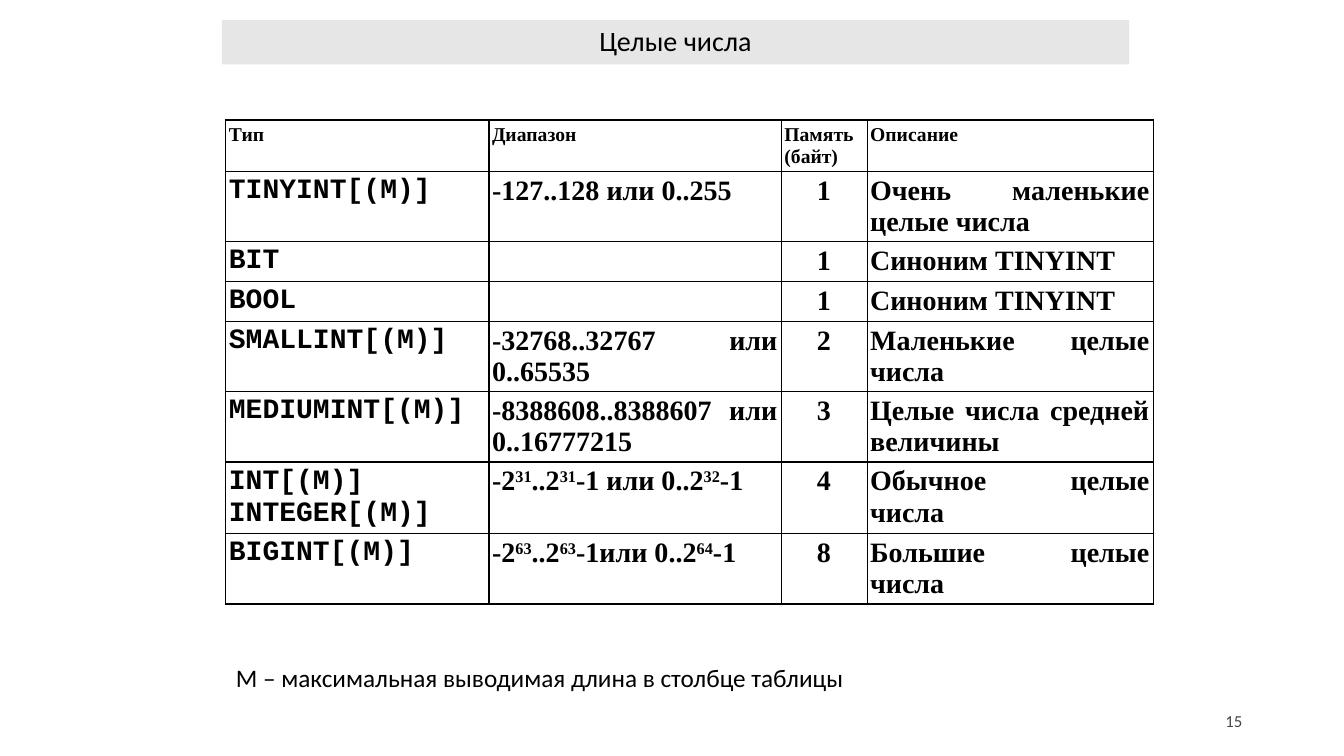
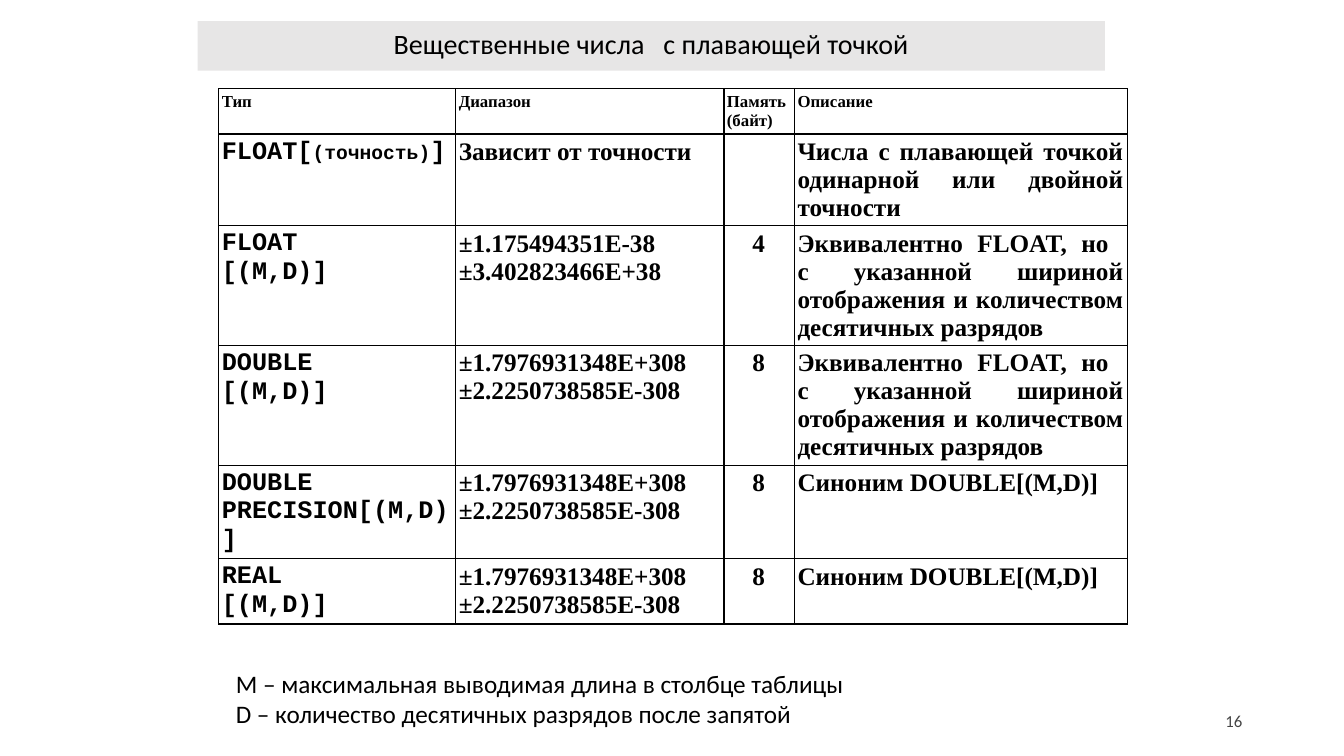
import pptx
import pptx.util
import pptx.dml.color
import pptx.enum.text
import pptx.oxml
import pptx.oxml.ns
from lxml import etree

Inches, Pt = pptx.util.Inches, pptx.util.Pt
RGB = pptx.dml.color.RGBColor.from_string
ALIGN = pptx.enum.text.PP_ALIGN
MIDDLE = pptx.enum.text.MSO_ANCHOR.MIDDLE


class Theme:
    ink, band, gray = "000000", "E7E6E6", "454545"
    sans, serif, mono = "Calibri", "Times New Roman", "Courier New"
    title, note, number, small = 20, 18, 12, 14
    rule = 1


# Content: "\n" parts paragraphs, "\v" breaks a line,
# ^...^ is superscript and ~...~ is small text
HEAD = ("Тип", "Диапазон", "Память\n(байт)", "Описание")
WIDE = "±1.7976931348Е+308\n±2.2250738585Е-308"
SAME = ("Эквивалентно FLOAT, но \vс указанной шириной отображения "
        "и количеством десятичных разрядов")
NOTE = "M – максимальная выводимая длина в столбце таблицы"
FIRST = 15

SLIDES = [
    {
        "title": "Целые числа",
        "band": (2.2, 0.2, 9, 0.44),
        "origin": (2.24, 1.19),
        "cols": (2.61, 2.9, 0.85, 2.84),
        "heights": (0.51, 0.69, 0.39, 0.39, 0.69, 0.7, 0.7, 0.7),
        "sizes": (14, 20),
        "rows": [
            ("TINYINT[(M)]", "-127..128 или 0..255", "1",
             "Очень маленькие целые числа"),
            ("BIT", "", "1", "Синоним TINYINT"),
            ("BOOL", "", "1", "Синоним TINYINT"),
            ("SMALLINT[(M)]", "-32768..32767 или 0..65535", "2",
             "Маленькие целые числа"),
            ("MEDIUMINT[(M)]", "-8388608..8388607 или 0..16777215", "3",
             "Целые числа средней величины"),
            ("INT[(M)]\nINTEGER[(M)]", "-2^31^..2^31^-1 или 0..2^32^-1", "4",
             "Обычное целые числа"),
            ("BIGINT[(M)]", "-2^63^..2^63^-1или 0..2^64^-1", "8",
             "Большие целые числа"),
        ],
        "note": NOTE,
        "place": (2.24, 6.52, 7.42, 0.4),
    },
    {
        "title": "Вещественные числа   с плавающей точкой",
        "band": (1.96, 0.21, 9, 0.49),
        "origin": (2.17, 0.88),
        "cols": (2.35, 2.66, 0.7, 3.3),
        "heights": (0.44, 0.91, 1.18, 1.18, 0.91, 0.63),
        "sizes": (12, 18),
        "rows": [
            ("FLOAT[~(точность)~]", "Зависит от точности", "",
             "Числа с плавающей точкой одинарной или двойной точности"),
            ("FLOAT\n[(M,D)]", "±1.175494351Е-38\n±3.402823466Е+38", "4", SAME),
            ("DOUBLE\n[(M,D)]", WIDE, "8", SAME),
            ("DOUBLE\nPRECISION[(M,D)]", WIDE, "8", "Синоним DOUBLE[(M,D)]"),
            ("REAL\n[(M,D)]", WIDE, "8", "Синоним DOUBLE[(M,D)]"),
        ],
        "note": NOTE + "\nD – количество десятичных разрядов после запятой",
        "place": (2.24, 6.58, 7.42, 0.71),
    },
]


# Text
def add_runs(para, text):
    mark = "^" if "^" in text else "~"
    for i, part in enumerate(text.split(mark)):
        for j, line in enumerate(part.split("\v")):
            if j:
                para.add_line_break()
            run = para.add_run()
            run.text = line
            if i % 2 and mark == "^":
                run._r.get_or_add_rPr().set("baseline", "30000")
            elif i % 2:
                run.font.size = Pt(Theme.small)


def write(frame, text, size, face=Theme.sans, color=Theme.ink,
          align=ALIGN.LEFT, bold=False):
    frame.word_wrap = True
    for i, line in enumerate(text.split("\n")):
        para = frame.add_paragraph() if i else frame.paragraphs[0]
        para.alignment = align
        font = para.font
        font.size, font.name, font.bold = Pt(size), face, bold
        font.color.rgb = RGB(color)
        if line:
            add_runs(para, line)


def add_text(slide, box, text, size, **style):
    frame = slide.shapes.add_textbox(*map(Inches, box)).text_frame
    write(frame, text, size, **style)
    return frame


# Title band
def set_title(slide, text, box):
    band = slide.shapes.title
    band.left, band.top, band.width, band.height = map(Inches, box)
    band.fill.solid()
    band.fill.fore_color.rgb = RGB(Theme.band)
    frame = band.text_frame
    write(frame, text, Theme.title, align=ALIGN.CENTER)
    frame.vertical_anchor = MIDDLE
    frame.paragraphs[0].line_spacing = 0.9


# Table
def set_edges(cell):
    props = cell._tc.get_or_add_tcPr()
    qn = pptx.oxml.ns.qn
    for side in ("lnL", "lnR", "lnT", "lnB"):
        line = etree.SubElement(props, qn("a:" + side), w=str(Pt(Theme.rule)))
        fill = etree.SubElement(line, qn("a:solidFill"))
        etree.SubElement(fill, qn("a:srgbClr"), val=Theme.ink)


def fill_cell(cell, text, size, face, align):
    cell.margin_left = Inches(0.03)
    cell.margin_right = cell.margin_top = cell.margin_bottom = Inches(0.04)
    set_edges(cell)
    cell.fill.background()
    write(cell.text_frame, text, size, face, align=align, bold=True)


def add_grid(slide, data):
    rows = [HEAD] + data["rows"]
    cols, heights = data["cols"], data["heights"]
    box = (*data["origin"], sum(cols), sum(heights))
    grid = slide.shapes.add_table(len(rows), len(cols), *map(Inches, box)).table
    grid.first_row = grid.horz_banding = False
    for col, width in zip(grid.columns, cols):
        col.width = Inches(width)
    for row, height in zip(grid.rows, heights):
        row.height = Inches(height)

    small, large = data["sizes"]
    faces = (Theme.mono, Theme.serif, Theme.serif, Theme.serif)
    aligns = (ALIGN.LEFT, ALIGN.JUSTIFY, ALIGN.CENTER, ALIGN.JUSTIFY)
    for r, row in enumerate(rows):
        for c, text in enumerate(row):
            if r:
                style = (large, faces[c], aligns[c])
            else:
                style = (small, Theme.serif, ALIGN.JUSTIFY)
            fill_cell(grid.cell(r, c), text, *style)


# Slides
def main():
    deck = pptx.Presentation()
    deck.slide_width, deck.slide_height = Inches(13.33), Inches(7.5)
    for number, data in enumerate(SLIDES, FIRST):
        slide = deck.slides.add_slide(deck.slide_layouts[5])
        set_title(slide, data["title"], data["band"])
        add_grid(slide, data)
        add_text(slide, data["place"], data["note"], Theme.note)
        foot = add_text(slide, (9.42, 6.95, 3, 0.4), str(number), Theme.number,
                        color=Theme.gray, align=ALIGN.RIGHT)
        foot.vertical_anchor = MIDDLE
    deck.save("out.pptx")


if __name__ == "__main__":
    main()
